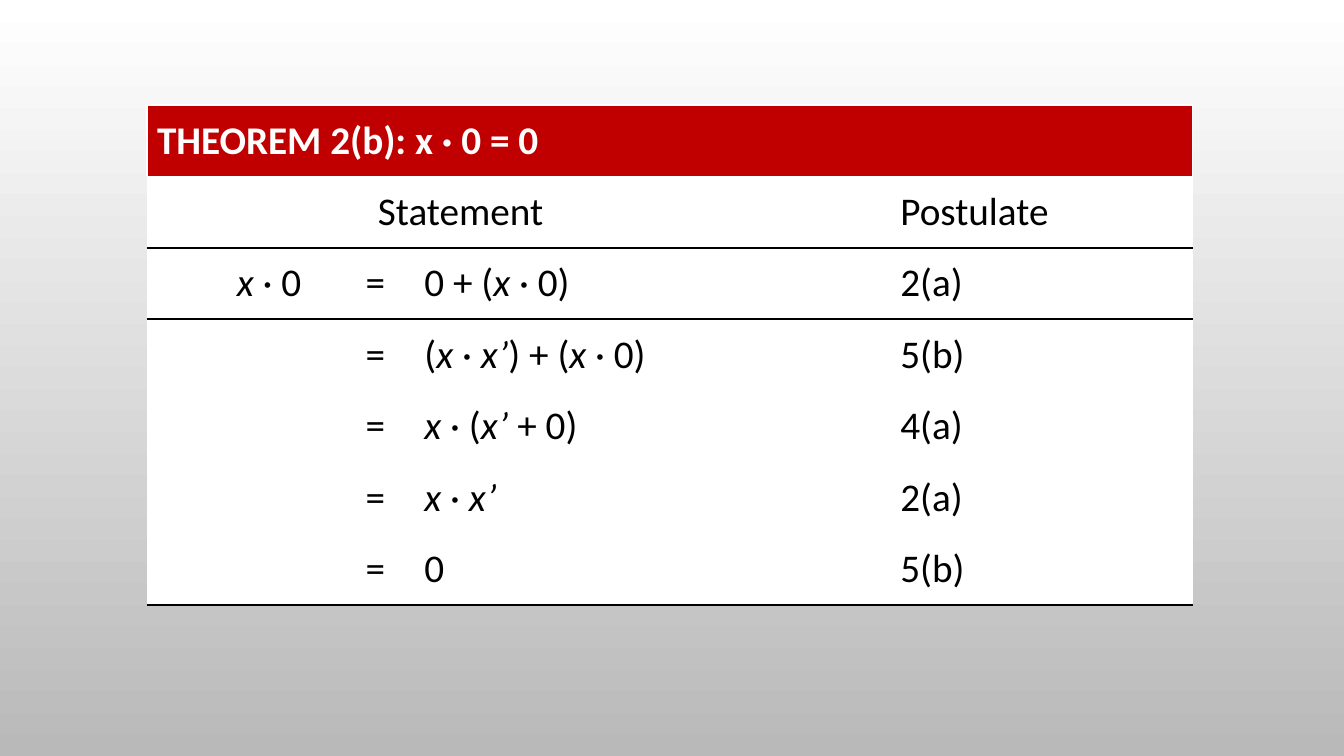
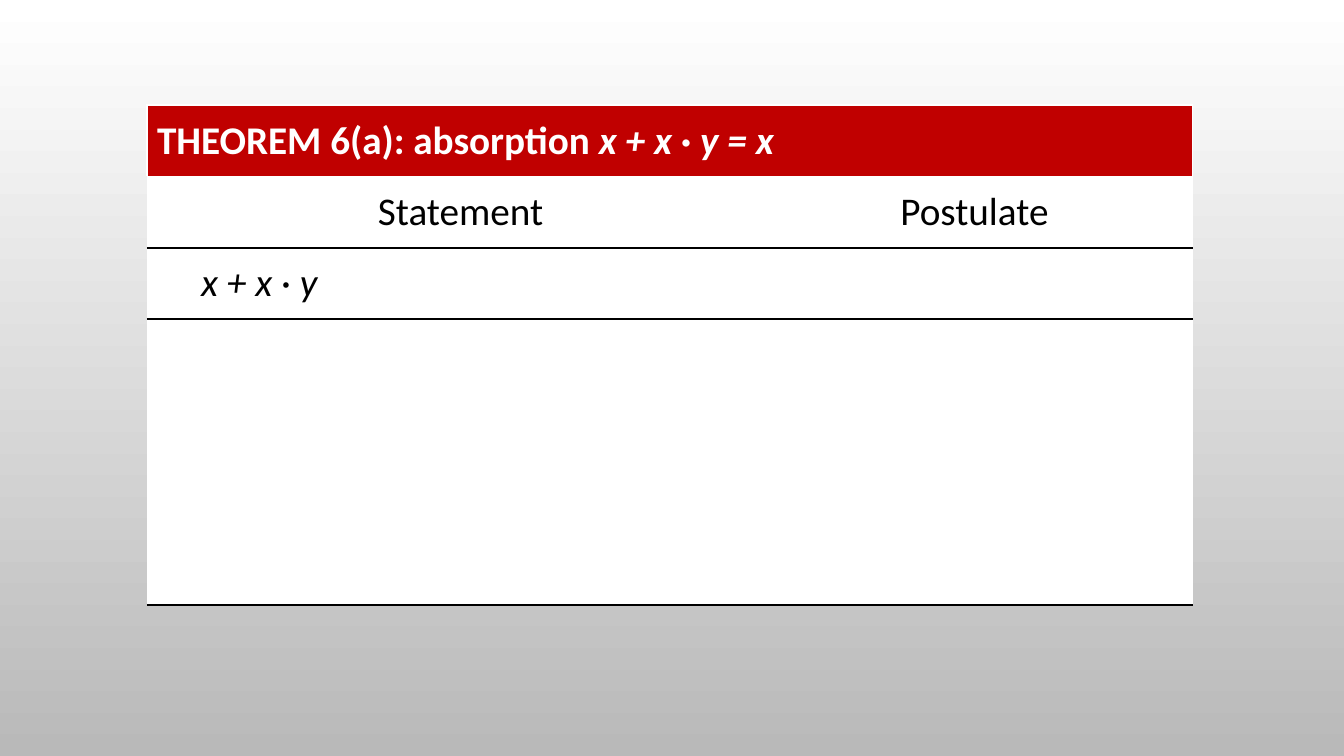
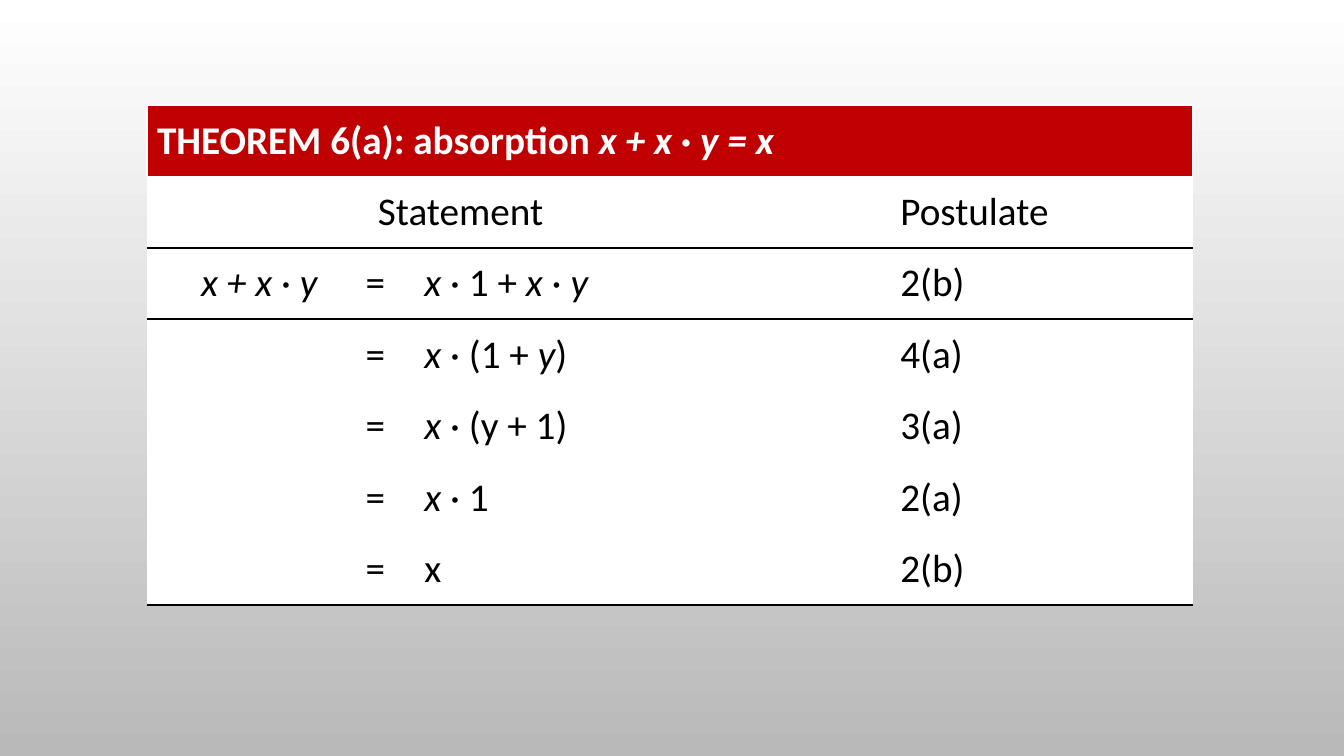
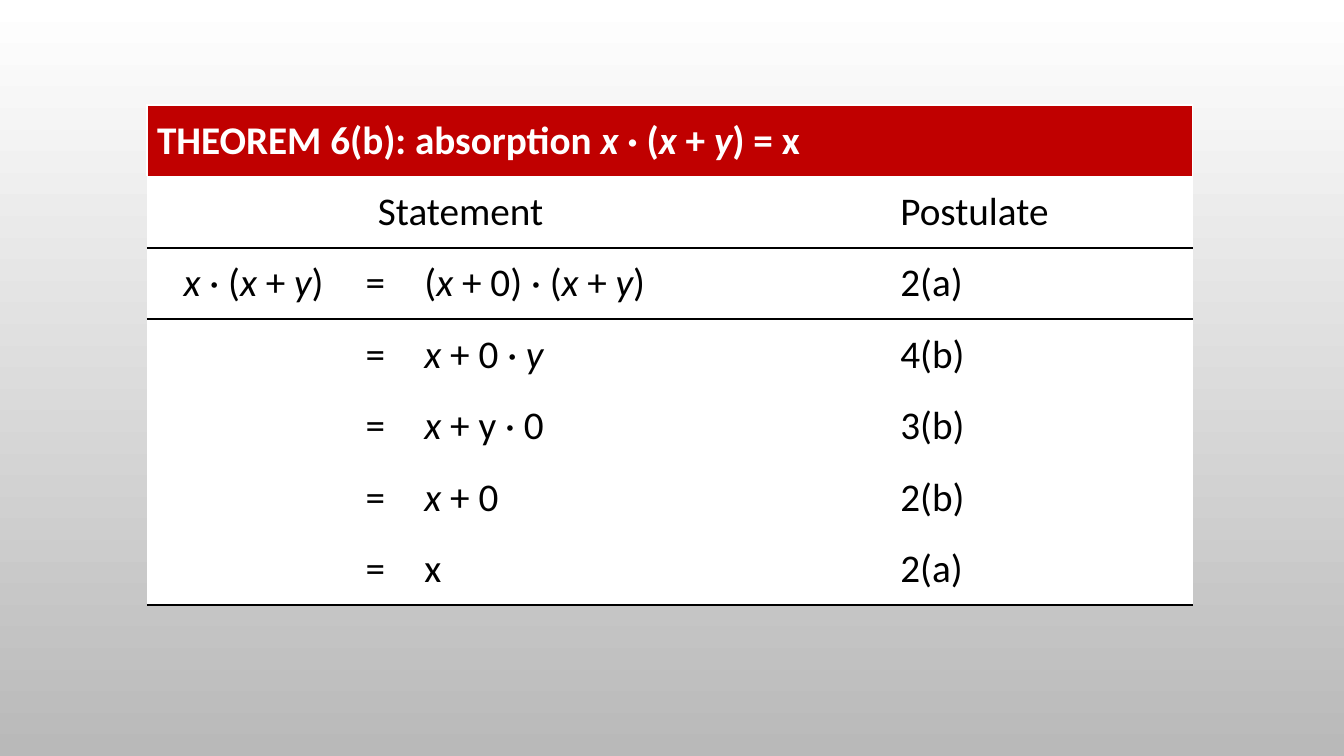
from lxml.etree import SubElement
from pptx import Presentation
from pptx.dml.color import RGBColor
from pptx.enum.text import MSO_ANCHOR, PP_ALIGN
from pptx.oxml.ns import qn
from pptx.util import Pt

# Shared look
RED, WHITE, BLACK, GREY = "C00000", "FFFFFF", "000000", "B9B9B9"
HEADER_FORMAT = {"name": "Calibri", "size": Pt(28), "bold": True}
BODY_FORMAT = {**HEADER_FORMAT, "bold": False}
NO_STYLE_NO_GRID = "{2D5ABB26-0587-4C30-8999-92F81FD0307C}"

# Table grid, in points
TABLE_LEFT, TABLE_TOP = 105, 75
COLUMN_WIDTHS = [149, 42, 257, 83, 216]
ROW_HEIGHT, ROW_COUNT = 51, 7
CELL_MARGIN = 7.2
EQUALS_COLUMN, RESULT_COLUMN, POSTULATE_COLUMN = 1, 2, 4

# Borders by row: sides, colour, width
ROW_BORDERS = {
    0: (["lnL", "lnR", "lnT"], WHITE, 1),
    1: (["lnB"], BLACK, 1.5),
    2: (["lnT"], BLACK, 1.5),
    ROW_COUNT - 1: (["lnB"], BLACK, 1.5),
}

# Heading, left side, its indent, and steps; text between asterisks is italic
ABSORPTION_SUM = ("THEOREM 6(a): absorption *x + x* · *y = x*", "*x + x* · *y*", 31.5)
THEOREMS = [
    ("THEOREM 2(b): x · 0 = 0", "*x* · 0", 57, [
        ("0 + (*x* · 0)", "2(a)"),
        ("(*x* · *x’*) + (*x* · 0)", "5(b)"),
        ("*x* · (*x’* + 0)", "4(a)"),
        ("*x* · *x’*", "2(a)"),
        ("0", "5(b)"),
    ]),
    (*ABSORPTION_SUM, []),
    (*ABSORPTION_SUM, [
        ("*x* · 1 + *x* · *y*", "2(b)"),
        ("*x* · (1 + *y*)", "4(a)"),
        ("*x* · (y + 1)", "3(a)"),
        ("*x* · 1", "2(a)"),
        ("x", "2(b)"),
    ]),
    ("THEOREM 6(b): absorption *x* · (*x* + *y*) = x", "*x* · (*x* + *y*)", 19, [
        ("(*x* + 0) · (*x* + *y*)", "2(a)"),
        ("*x* + 0 · *y*", "4(b)"),
        ("*x* + y · 0", "3(b)"),
        ("*x* + 0", "2(b)"),
        ("x", "2(a)"),
    ]),
]


def color(hex_string):
    return RGBColor.from_string(hex_string)


def set_background(master):
    """Fade from white at the top to grey at the bottom."""
    fill = master.background.fill
    fill.gradient()
    fill.gradient_angle = 270
    for stop, shade, position in zip(fill.gradient_stops, (WHITE, GREY), (0, 1)):
        stop.color.rgb = color(shade)
        stop.position = position


def write(cell, text, font_color=BLACK, formats=BODY_FORMAT, align=PP_ALIGN.LEFT):
    para = cell.text_frame.paragraphs[0]
    para.alignment = align
    for index, part in enumerate(text.split("*")):
        if not part:
            continue
        span = para.add_run()
        span.text = part
        for name, value in formats.items():
            setattr(span.font, name, value)
        span.font.italic = index % 2 == 1
        span.font.color.rgb = color(font_color)


def add_borders(cell, sides, line_color, width):
    properties = cell._tc.get_or_add_tcPr()
    for side in sides:
        line = SubElement(properties, qn(f"a:{side}"), w=str(Pt(width)))
        fill = SubElement(line, qn("a:solidFill"))
        SubElement(fill, qn("a:srgbClr"), val=line_color)


def add_proof_table(page):
    """Add the empty grid with its fills, borders and merged cells."""
    frame = page.shapes.add_table(
        ROW_COUNT, len(COLUMN_WIDTHS), Pt(TABLE_LEFT), Pt(TABLE_TOP),
        Pt(sum(COLUMN_WIDTHS)), Pt(ROW_HEIGHT * ROW_COUNT))
    table = frame.table
    table.horz_banding = False
    next(frame.element.iter(qn("a:tableStyleId"))).text = NO_STYLE_NO_GRID
    for column, width in zip(table.columns, COLUMN_WIDTHS):
        column.width = Pt(width)
    for index, row in enumerate(table.rows):
        row.height = Pt(ROW_HEIGHT)
        for cell in row.cells:
            if index in ROW_BORDERS:
                add_borders(cell, *ROW_BORDERS[index])
            cell.fill.solid()
            cell.fill.fore_color.rgb = color(WHITE if index else RED)
            cell.vertical_anchor = MSO_ANCHOR.MIDDLE
    table.cell(0, 0).merge(table.cell(0, len(COLUMN_WIDTHS) - 1))
    table.cell(1, 0).merge(table.cell(1, RESULT_COLUMN))
    return table


def add_theorem_page(deck, heading, left_side, indent, steps):
    page = deck.slides.add_slide(deck.slide_layouts[6])
    table = add_proof_table(page)

    # Headings
    write(table.cell(0, 0), heading, WHITE, HEADER_FORMAT)
    write(table.cell(1, 0), "Statement", align=PP_ALIGN.CENTER)
    write(table.cell(1, POSTULATE_COLUMN), "Postulate")

    # Proof
    start = table.cell(2, 0)
    start.margin_left = Pt(CELL_MARGIN + indent)
    write(start, left_side)
    for row, (result, postulate) in enumerate(steps, start=2):
        write(table.cell(row, EQUALS_COLUMN), "=")
        write(table.cell(row, RESULT_COLUMN), result)
        write(table.cell(row, POSTULATE_COLUMN), postulate)


def main():
    deck = Presentation()
    deck.slide_width, deck.slide_height = Pt(960), Pt(540)
    set_background(deck.slide_master)
    for theorem in THEOREMS:
        add_theorem_page(deck, *theorem)
    deck.save("out.pptx")


if __name__ == "__main__":
    main()
